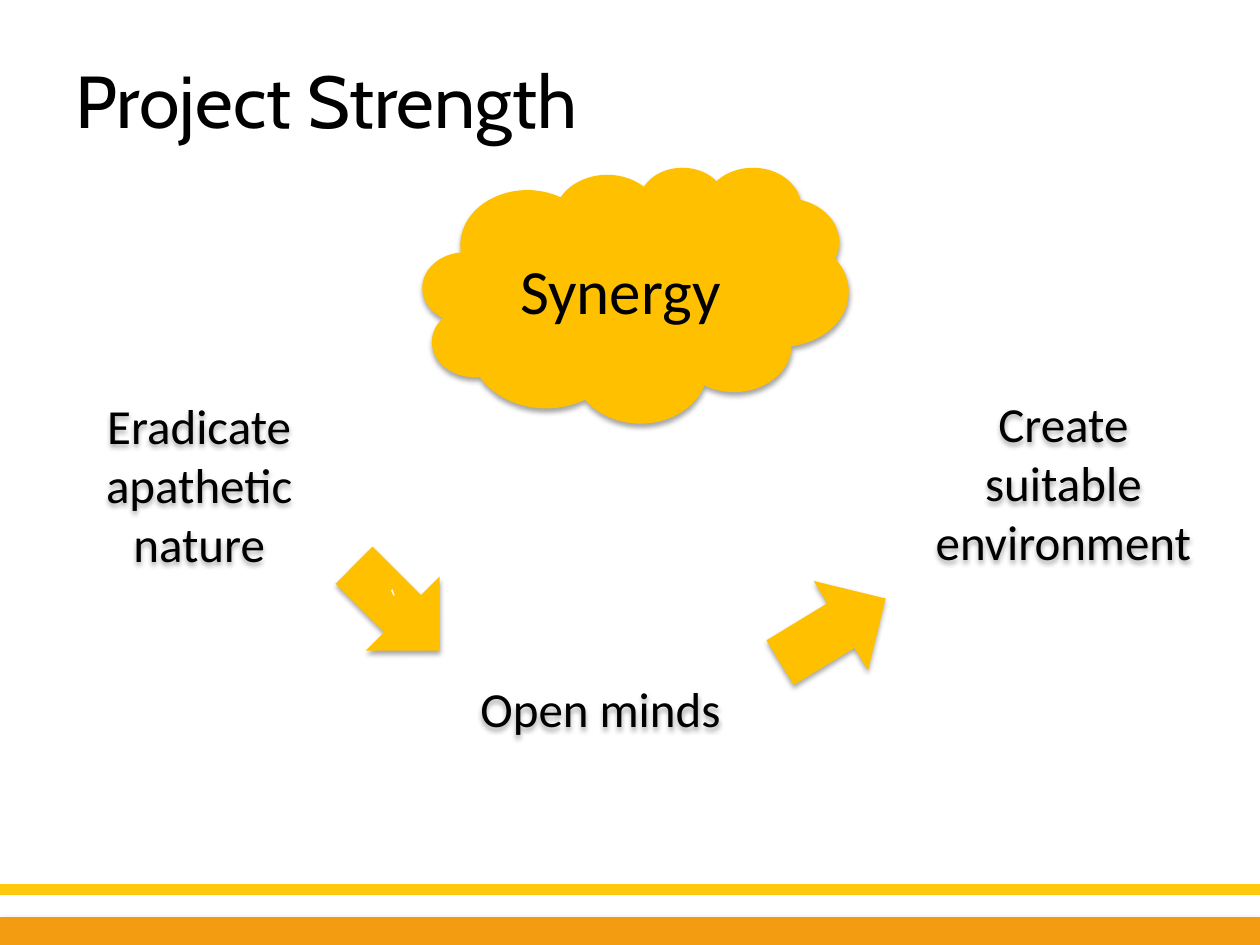
from lxml.etree import SubElement
from pptx import Presentation
from pptx.dml.color import RGBColor
from pptx.enum.shapes import MSO_CONNECTOR, MSO_SHAPE
from pptx.enum.text import MSO_ANCHOR, PP_ALIGN
from pptx.oxml.ns import qn
from pptx.util import Inches, Pt

BLACK = RGBColor(0x00, 0x00, 0x00)
WHITE = RGBColor(0xFF, 0xFF, 0xFF)
AMBER = RGBColor(0xFF, 0xC0, 0x00)
YELLOW = RGBColor(0xFD, 0xC9, 0x0A)
ORANGE = RGBColor(0xF3, 0x9C, 0x12)

COLUMNS, ROWS = 100, 75  # slide grid


class SlideBuilder:
    heading_font = "Cabin"
    body_font = "Calibri"

    def __init__(self, presentation):
        self.slide = presentation.slides.add_slide(presentation.slide_layouts[6])
        self.column = presentation.slide_width / COLUMNS
        self.row = presentation.slide_height / ROWS

    def place(self, left, top, width, height):
        return (round(left * self.column), round(top * self.row),
                round(width * self.column), round(height * self.row))

    def cast_shadow(self, shape):
        shape.shadow.inherit = False
        effects = shape._element.spPr.find(qn("a:effectLst"))
        shadow = SubElement(effects, qn("a:outerShdw"), blurRad=str(Pt(3.1)),
                            dist=str(Pt(1.8)), dir="5400000", rotWithShape="0")
        color = SubElement(shadow, qn("a:srgbClr"), val=str(BLACK))
        SubElement(color, qn("a:alpha"), val="35000")

    def set_text(self, shape, text, size, font, color=BLACK, centered=True):
        frame = shape.text_frame
        frame.word_wrap = True
        frame.text = text
        paragraph = frame.paragraphs[0]
        if centered:
            frame.vertical_anchor = MSO_ANCHOR.MIDDLE
            paragraph.alignment = PP_ALIGN.CENTER
        style = paragraph.runs[0].font
        style.name, style.size = font, Pt(size)
        style.color.rgb = color

    def title(self, text, *box):
        heading = self.slide.shapes.add_textbox(*self.place(*box))
        self.set_text(heading, text, 42, self.heading_font, centered=False)

    def label(self, text, *box):
        caption = self.slide.shapes.add_textbox(*self.place(*box))
        self.set_text(caption, text, 28, self.body_font)
        self.cast_shadow(caption)

    def figure(self, preset, *box, fill=AMBER, outline=None, rotation=0):
        shape = self.slide.shapes.add_shape(preset, *self.place(*box))
        shape.rotation = rotation
        shape.fill.solid()
        shape.fill.fore_color.rgb = fill
        if outline is None:
            shape.line.fill.background()
        else:
            shape.line.color.rgb = outline
            shape.line.width = Pt(0.75)
        self.cast_shadow(shape)
        return shape

    def stripe(self, row, width, color, weight):
        left, y, right, _ = self.place(0, row, width, 0)
        line = self.slide.shapes.add_connector(MSO_CONNECTOR.STRAIGHT, left, y, right, y)
        line.line.color.rgb = color
        line.line.width = Pt(weight)
        SubElement(line._element.spPr, qn("a:effectLst"))


def main():
    presentation = Presentation()
    presentation.slide_width, presentation.slide_height = Inches(10), Inches(7.5)
    builder = SlideBuilder(presentation)

    # Footer bands
    builder.stripe(70.6, 100.2, YELLOW, 6)
    builder.figure(MSO_SHAPE.RECTANGLE, 0, 72.8, 100.2, 2.4, fill=ORANGE)

    # Heading
    builder.title("Project Strength", 5, 3.9, 79.4, 8.1)

    # Three steps
    builder.label("Eradicate apathetic nature", 3.7, 28.9, 24.2, 19)
    builder.label("Create suitable environment", 72.2, 28.4, 24.4, 19.7)
    builder.label("Open minds ", 36.3, 46.3, 23.6, 19.8)

    # Arrows between the steps
    descent = builder.figure(MSO_SHAPE.RIGHT_ARROW, 26.7, 44.1, 9.6, 8.3, rotation=44.9)
    builder.set_text(descent, "`", 18, builder.heading_font, WHITE)
    builder.figure(MSO_SHAPE.RIGHT_ARROW, 61.2, 45.9, 9.8, 8.3, rotation=328.7)

    # Central idea
    synergy = builder.figure(MSO_SHAPE.CLOUD, 33.6, 13.3, 33.7, 20.2, outline=AMBER)
    builder.set_text(synergy, "Synergy", 36, builder.body_font)

    presentation.save("out.pptx")


if __name__ == "__main__":
    main()
